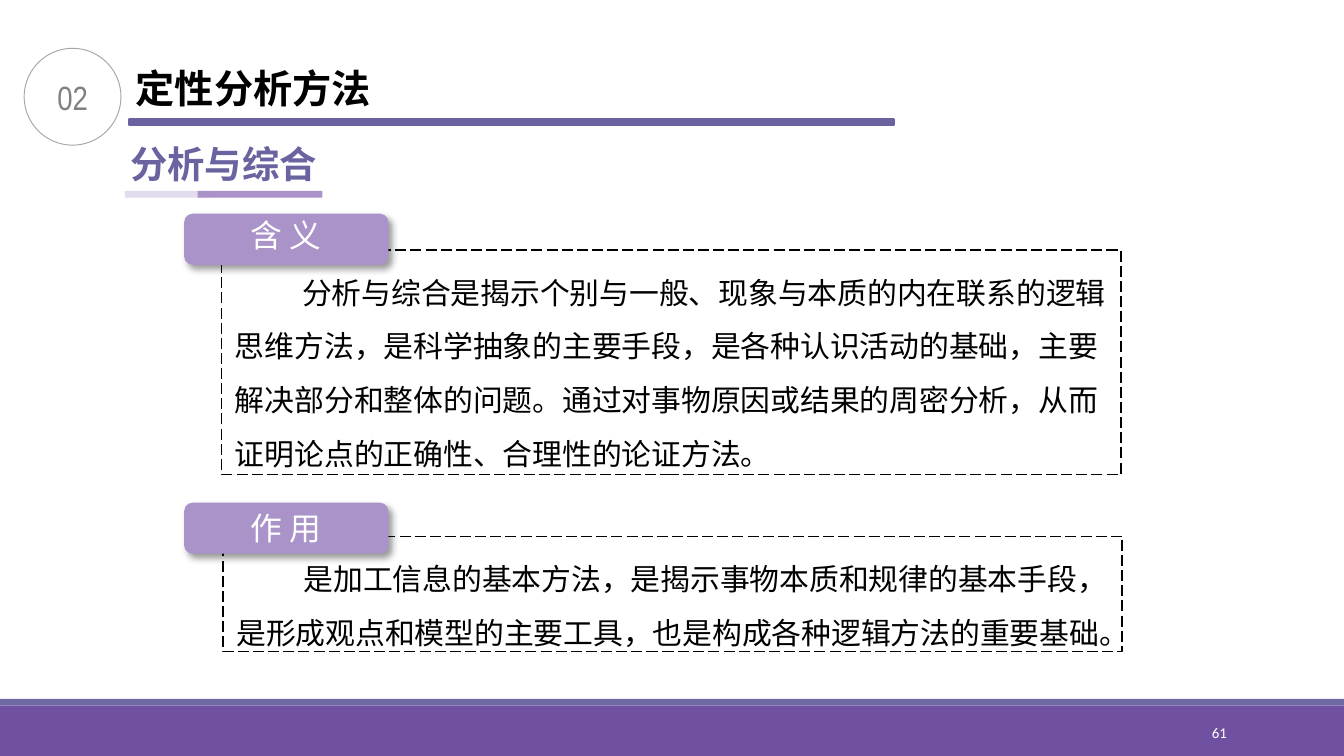
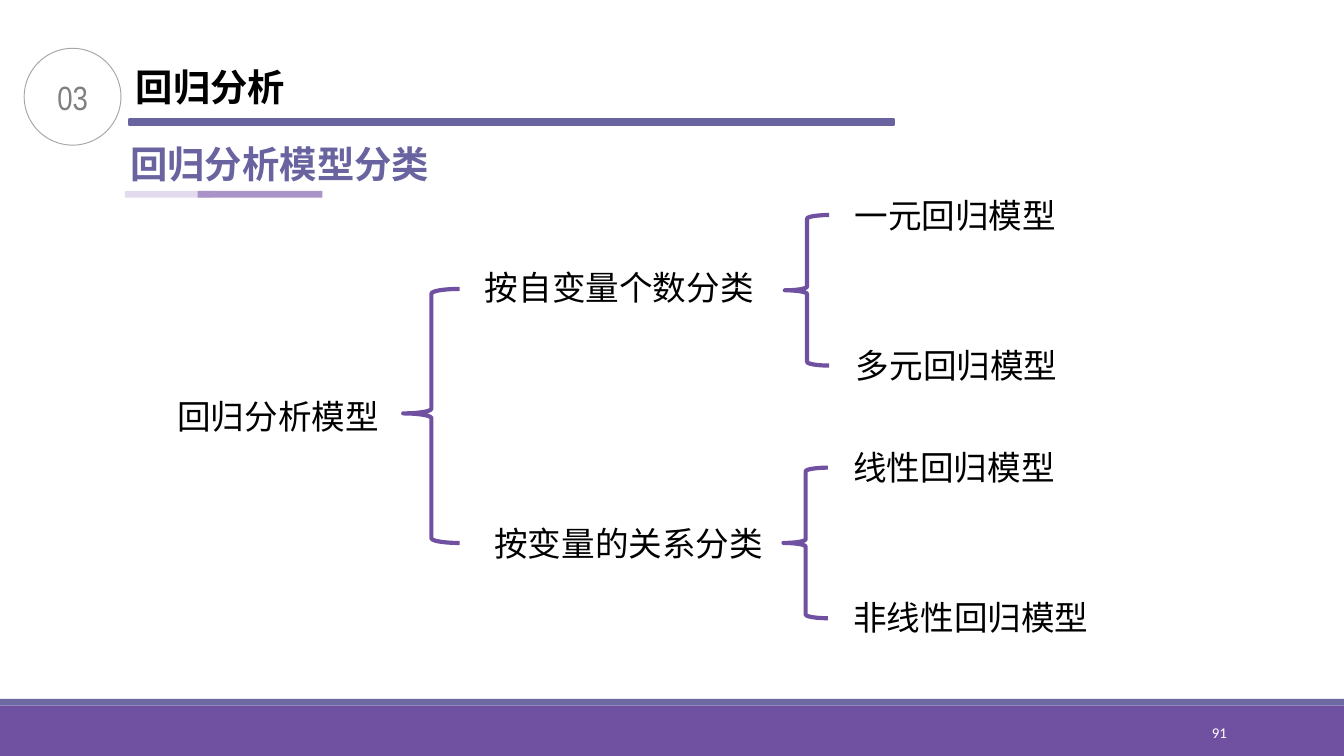
from typing import NamedTuple, Optional

from lxml import etree
from pptx import Presentation
from pptx.dml.color import RGBColor
from pptx.enum.dml import MSO_LINE
from pptx.enum.shapes import MSO_SHAPE
from pptx.enum.text import MSO_ANCHOR, MSO_AUTO_SIZE, PP_ALIGN
from pptx.oxml.ns import qn
from pptx.util import Inches, Pt

# Colours and fonts
BLACK = RGBColor(0x00, 0x00, 0x00)
WHITE = RGBColor(0xFF, 0xFF, 0xFF)
GREY = RGBColor(0x80, 0x80, 0x80)
RING = RGBColor(0xA6, 0xA6, 0xA6)
PURPLE = RGBColor(0x70, 0x50, 0xA0)
STRIPE = RGBColor(0x6D, 0x69, 0xA3)
ACCENT = RGBColor(0x69, 0x64, 0xA0)
LILAC = RGBColor(0xA9, 0x93, 0xC9)
PALE = RGBColor(0xE2, 0xDB, 0xED)
SANS = "Noto Sans CJK SC"
SERIF = "Times New Roman"
NARROW = "Arial Narrow"
SMALL = "Calibri"

# Enum members
RECT = MSO_SHAPE.RECTANGLE
ROUND = MSO_SHAPE.ROUNDED_RECTANGLE
OVAL = MSO_SHAPE.OVAL
BRACE = MSO_SHAPE.LEFT_BRACE
DASH = MSO_LINE.LONG_DASH
LEFT, CENTER, RIGHT = PP_ALIGN.LEFT, PP_ALIGN.CENTER, PP_ALIGN.RIGHT
TOP, MIDDLE = MSO_ANCHOR.TOP, MSO_ANCHOR.MIDDLE
GROW, FIXED = MSO_AUTO_SIZE.SHAPE_TO_FIT_TEXT, MSO_AUTO_SIZE.NONE

# Slide size, 16 to 9
WIDTH = Inches(10)
HEIGHT = WIDTH * 9 // 16

WIDE = (0.1, 0.05)
TIGHT = (0.07, 0.04)


class Place(NamedTuple):
    left: float
    top: float
    width: float
    height: float

    def inches(self) -> tuple:
        return tuple(Inches(side) for side in self)


class Style(NamedTuple):
    size: float
    color: RGBColor = BLACK
    font: str = SANS
    bold: bool = False
    align: PP_ALIGN = LEFT
    anchor: MSO_ANCHOR = TOP
    inset: tuple = WIDE
    wrap: bool = True
    grow: bool = True
    indent: float = 0
    spacing: float = 1


class Head(NamedTuple):
    number: str
    title: str
    place: Place
    size: float
    topic: str
    width: float
    page: str


class Panel(NamedTuple):
    label: str
    label_top: float
    badge_top: float
    place: Place
    body: str


class Label(NamedTuple):
    text: str
    left: float
    top: float
    width: float


class Fork(NamedTuple):
    place: Place
    point: float = 0.5


TOPIC = Style(20, ACCENT, bold=True, wrap=False)
PAGE = Style(8, WHITE, SMALL, align=RIGHT, anchor=MIDDLE, inset=TIGHT, grow=False)
NUMBER = Style(18, GREY, NARROW, align=CENTER, anchor=MIDDLE, inset=TIGHT, grow=False)
BODY = Style(16, font=SERIF, indent=0.5, spacing=1.5)
BADGE = Style(17, WHITE, align=CENTER)
NODE = Style(18)

HEADS = (
    Head("02", "定性分析方法", Place(0.94, 0.44, 1.93, 0.43), 21,
         "分析与综合", 1.61, "61"),
    Head("03", "回归分析", Place(0.94, 0.44, 1.28, 0.41), 20,
         "回归分析模型分类", 2.46, "91"),
)

PANELS = (
    Panel("含 义", 1.56, 1.59, Place(1.65, 1.86, 6.69, 1.67),
          "分析与综合是揭示个别与一般、现象与本质的内在联系的逻辑思维方法，"
          "是科学抽象的主要手段，是各种认识活动的基础，主要解决部分和整体的问题。"
          "通过对事物原因或结果的周密分析，从而证明论点的正确性、合理性的论证方法。"),
    Panel("作 用", 3.74, 3.74, Place(1.66, 3.99, 6.69, 0.86),
          "是加工信息的基本方法，是揭示事物本质和规律的基本手段，"
          "是形成观点和模型的主要工具，也是构成各种逻辑方法的重要基础。"),
)

LABELS = (
    Label("回归分析模型", 1.22, 2.9, 1.78),
    Label("按自变量个数分类", 3.51, 1.94, 2.27),
    Label("按变量的关系分类", 3.58, 3.84, 2.27),
    Label("一元回归模型", 6.26, 1.4, 1.83),
    Label("多元回归模型", 6.27, 2.52, 1.83),
    Label("线性回归模型", 6.25, 3.28, 1.83),
    Label("非线性回归模型", 6.25, 4.39, 2.25),
)

FORKS = (
    Fork(Place(3, 2.15, 0.42, 1.89), 0.49),
    Fork(Place(5.84, 1.6, 0.33, 1.12)),
    Fork(Place(5.83, 3.48, 0.33, 1.12)),
)


# Drawing helpers
def write(shape, text: str, style: Style) -> None:
    frame = shape.text_frame
    frame.text = text
    frame.word_wrap = style.wrap
    frame.auto_size = GROW if style.grow else FIXED
    frame.vertical_anchor = style.anchor
    side, edge = (Inches(gap) for gap in style.inset)
    frame.margin_left = frame.margin_right = side
    frame.margin_top = frame.margin_bottom = edge
    para = frame.paragraphs[0]
    para.alignment = style.align
    para.line_spacing = style.spacing
    if style.indent:
        props = para._p.get_or_add_pPr()
        props.set("marL", "0")
        props.set("indent", str(Inches(style.indent)))
    for run in para.runs:
        font = run.font
        font.name, font.size, font.bold = style.font, Pt(style.size), style.bold
        font.color.rgb = style.color
        latin = run._r.rPr.find(qn("a:latin"))
        east = etree.Element(qn("a:ea"), typeface=SANS)
        latin.addnext(east)


def add_text(slide, place: Place, text: str, style: Style) -> None:
    write(slide.shapes.add_textbox(*place.inches()), text, style)


def add_form(slide, kind: MSO_SHAPE, place: Place, fill: Optional[RGBColor] = None,
             line: Optional[RGBColor] = None, weight: float = 1):
    shape = slide.shapes.add_shape(kind, *place.inches())
    shape.shadow.inherit = False
    if fill is None:
        shape.fill.background()
    else:
        shape.fill.solid()
        shape.fill.fore_color.rgb = fill
    if line is None:
        shape.line.fill.background()
    else:
        shape.line.color.rgb = line
        shape.line.width = Pt(weight)
    return shape


def add_shade(shape) -> None:
    effects = shape._element.spPr.find(qn("a:effectLst"))
    shade = etree.SubElement(effects, qn("a:outerShdw"), blurRad=str(Pt(4)),
                             dist=str(Pt(3)), dir=str(45 * 60000),
                             algn="tl", rotWithShape="0")
    color = etree.SubElement(shade, qn("a:srgbClr"), val=str(BLACK))
    etree.SubElement(color, qn("a:alpha"), val="40000")


# Shared frame: footer, number ring, title and topic
def add_frame(deck, head: Head):
    slide = deck.slides.add_slide(deck.slide_layouts[5])
    add_form(slide, RECT, Place(0, 5.25, 10, 0.38), PURPLE)
    add_form(slide, RECT, Place(0, 5.2, 10, 0.05), STRIPE)
    add_text(slide, Place(8.12, 5.3, 1.08, 0.3), head.page, PAGE)

    ring = add_form(slide, OVAL, Place(0.18, 0.36, 0.72, 0.72), line=RING, weight=0.5)
    write(ring, head.number, NUMBER)
    title = slide.shapes.title
    title.left, title.top, title.width, title.height = head.place.inches()
    write(title, head.title, Style(head.size, bold=True, inset=TIGHT, wrap=False))
    add_form(slide, RECT, Place(0.96, 0.89, 5.69, 0.04), ACCENT, ACCENT, 1.25)

    add_text(slide, Place(0.87, 1, head.width, 0.44), head.topic, TOPIC)
    add_form(slide, RECT, Place(0.93, 1.42, 0.65, 0.05), PALE)
    add_form(slide, RECT, Place(1.47, 1.42, 0.93, 0.05), LILAC)
    return slide


def add_panel(slide, panel: Panel) -> None:
    box = add_form(slide, RECT, panel.place, line=BLACK, weight=0.75)
    box.line.dash_style = DASH
    write(box, panel.body, BODY)
    badge = add_form(slide, ROUND, Place(1.37, panel.badge_top, 1.52, 0.38), LILAC)
    add_shade(badge)
    add_text(slide, Place(1.5, panel.label_top, 1.26, 0.4), panel.label, BADGE)


def add_fork(slide, fork: Fork) -> None:
    brace = add_form(slide, BRACE, fork.place, line=PURPLE, weight=2.25)
    brace.adjustments[1] = fork.point


def main() -> None:
    deck = Presentation()
    deck.slide_width, deck.slide_height = WIDTH, HEIGHT
    method, model = (add_frame(deck, head) for head in HEADS)

    # Meaning and use
    for panel in PANELS:
        add_panel(method, panel)

    # Model tree
    for fork in FORKS:
        add_fork(model, fork)
    for label in LABELS:
        add_text(model, Place(label.left, label.top, label.width, 0.4), label.text, NODE)

    deck.save("out.pptx")


if __name__ == "__main__":
    main()
